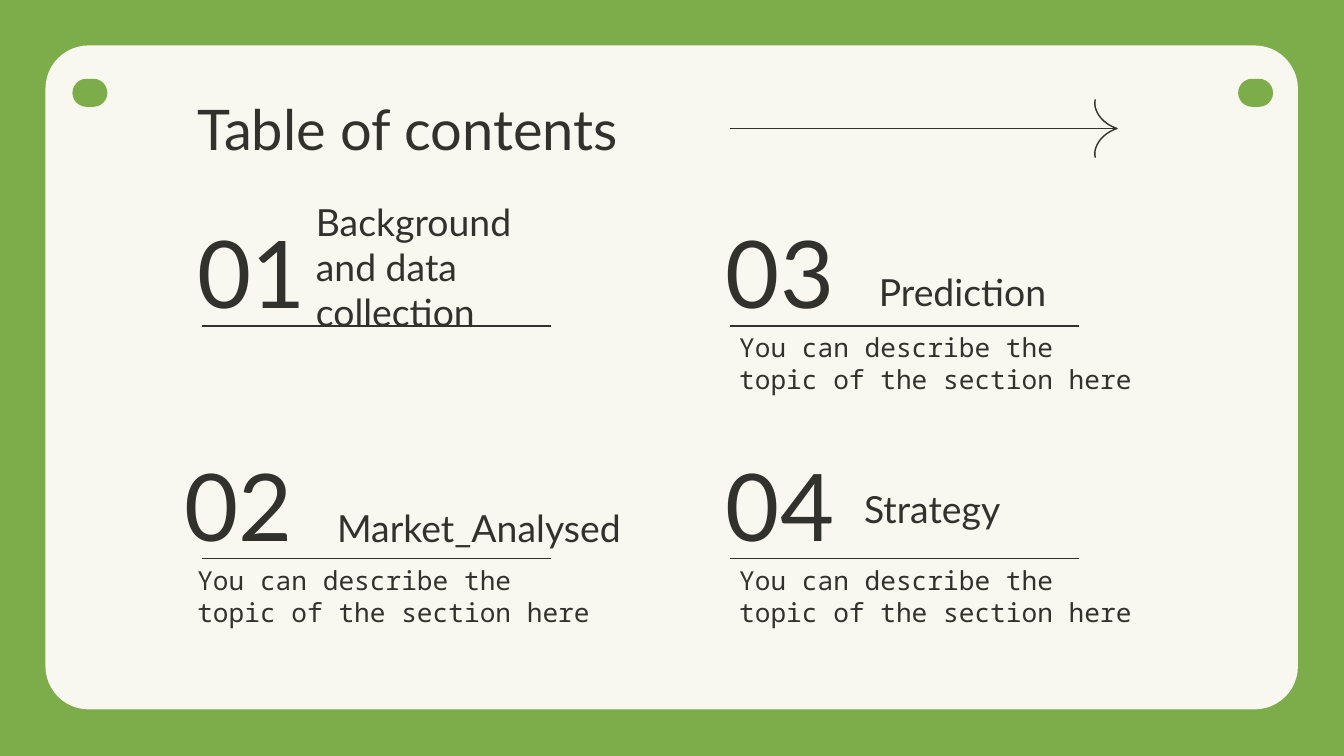
from lxml.etree import SubElement
from pptx import Presentation
from pptx.dml.color import RGBColor
from pptx.enum.shapes import MSO_CONNECTOR, MSO_SHAPE
from pptx.enum.text import MSO_ANCHOR, MSO_AUTO_SIZE, PP_ALIGN
from pptx.oxml.ns import qn
from pptx.util import Cm, Pt

GREEN, CREAM, INK = "7CAD4A", "F8F7F0", "31312E"
TITLE = "Table of contents"
DESCRIPTION = "You can describe the topic of the section here"

# Each heading box is left, top, width, height in cm
SECTIONS = [
    {"number": "01", "heading": "Background and data collection", "description": "",
     "column": 0, "row": 0, "box": (5.72, 3.66, 5.36, 1.98), "number_inset": 0.25},
    {"number": "02", "heading": "Market_Analysed", "description": DESCRIPTION,
     "column": 0, "row": 1, "box": (6.12, 8.59, 6.6, 1.98), "number_inset": 0},
    {"number": "03", "heading": "Prediction", "description": DESCRIPTION,
     "column": 1, "row": 0, "box": (16.36, 4.19, 5.36, 1.88), "number_inset": 0},
    {"number": "04", "heading": "Strategy", "description": DESCRIPTION,
     "column": 1, "row": 1, "box": (16.08, 7.75, 5.92, 2.97), "number_inset": 0},
]
COLUMN_LEFTS = [3.48, 13.72]
RULE_LEFTS = [3.81, 13.79]
ROW_TOP, ROW_PITCH = 4.19, 4.4
RULE_DROP, RULE_LENGTH, DESCRIPTION_DROP = 1.97, 6.6, 2.14

ARROW_START, ARROW_TIP, ARROW_Y = 13.79, 21.11, 2.43
BARB_CURVE = [(0, 0), (-0.3, 0.1), (-0.46, 0.36), (-0.41, 0.55)]
BARB_STEPS = 16

STYLES = {
    "title": {"size": Pt(30), "name": "Lato"},
    "number": {"size": Pt(50), "name": "Lato"},
    "heading": {"size": Pt(20), "name": "Lato"},
    "description": {"size": Pt(14), "name": "Noto Sans Mono"},
}


def color(hex_value):
    return RGBColor.from_string(hex_value)


def place(shape, left, top, width, height):
    for name, value in zip(("left", "top", "width", "height"), (left, top, width, height)):
        setattr(shape, name, Cm(value))


def write(box, text, style, side_inset=0.25, top_inset=0.25):
    frame = box.text_frame
    settings = {
        "word_wrap": True, "auto_size": MSO_AUTO_SIZE.NONE,
        "vertical_anchor": MSO_ANCHOR.MIDDLE,
        "margin_left": Cm(side_inset), "margin_right": Cm(side_inset),
        "margin_top": Cm(top_inset), "margin_bottom": Cm(0.25),
    }
    for name, value in settings.items():
        setattr(frame, name, value)
    para = frame.paragraphs[0]
    para.alignment = PP_ALIGN.LEFT
    span = para.add_run()
    span.text = text
    for name, value in STYLES[style].items():
        setattr(span.font, name, value)
    span.font.color.rgb = color(INK)


def add_text(slide, area, text, style, **insets):
    box = slide.shapes.add_textbox(*map(Cm, area))
    write(box, text, style, **insets)


def add_rounded(slide, area, fill, rounding):
    shape = slide.shapes.add_shape(MSO_SHAPE.ROUNDED_RECTANGLE, *map(Cm, area))
    shape.adjustments[0] = rounding
    shape.shadow.inherit = False
    shape.fill.solid()
    shape.fill.fore_color.rgb = color(fill)
    shape.line.fill.background()


def draw_outline(shape):
    shape.line.color.rgb = color(INK)
    shape.line.width = Pt(0.75)


def add_rule(slide, left, right, y):
    rule = slide.shapes.add_connector(MSO_CONNECTOR.STRAIGHT, Cm(left), Cm(y), Cm(right), Cm(y))
    draw_outline(rule)
    SubElement(rule._element.spPr, qn("a:effectLst"))


def barb_point(t):
    """Offset from the arrow tip at t along the cubic curve."""
    weights = ((1 - t) ** 3, 3 * t * (1 - t) ** 2, 3 * t ** 2 * (1 - t), t ** 3)
    return tuple(sum(w * point[axis] for w, point in zip(weights, BARB_CURVE)) for axis in (0, 1))


def add_arrow(slide):
    add_rule(slide, ARROW_START, ARROW_TIP, ARROW_Y)
    lower = [barb_point(step / BARB_STEPS) for step in range(BARB_STEPS + 1)]
    upper = [(x, -y) for x, y in reversed(lower)]
    points = [(Cm(ARROW_TIP + x), Cm(ARROW_Y + y)) for x, y in upper + lower[1:]]
    builder = slide.shapes.build_freeform(*points[0])
    builder.add_line_segments(points[1:], close=False)
    head = builder.convert_to_shape()
    head.shadow.inherit = False
    head.fill.background()
    draw_outline(head)


def add_section(slide, section):
    left = COLUMN_LEFTS[section["column"]]
    top = ROW_TOP + section["row"] * ROW_PITCH
    rule_left = RULE_LEFTS[section["column"]]
    add_text(slide, (left, top, 2.72, 1.88), section["number"], "number",
             side_inset=section["number_inset"])
    add_text(slide, section["box"], section["heading"], "heading", top_inset=1.02)
    add_rule(slide, rule_left, rule_left + RULE_LENGTH, top + RULE_DROP)
    if section["description"]:
        add_text(slide, (left, top + DESCRIPTION_DROP, 7.98, 1.07),
                 section["description"], "description")


def main():
    deck = Presentation()
    deck.slide_width, deck.slide_height = Cm(25.4), Cm(14.29)
    page = deck.slides.add_slide(deck.slide_layouts[5])
    page.background.fill.solid()
    page.background.fill.fore_color.rgb = color(GREEN)

    add_rounded(page, (0.86, 0.86, 23.67, 12.55), CREAM, 0.065)
    for left in (1.37, 23.4):
        add_rounded(page, (left, 1.49, 0.66, 0.53), GREEN, 0.5)

    title = page.shapes.title
    place(title, 3.48, 1.75, 10.31, 1.35)
    write(title, TITLE, "title")
    # The title comes first in the tree, so bring it in front of the card
    page.shapes._spTree.append(title._element)

    for section in SECTIONS:
        add_section(page, section)
    add_arrow(page)
    deck.save("out.pptx")


if __name__ == "__main__":
    main()
